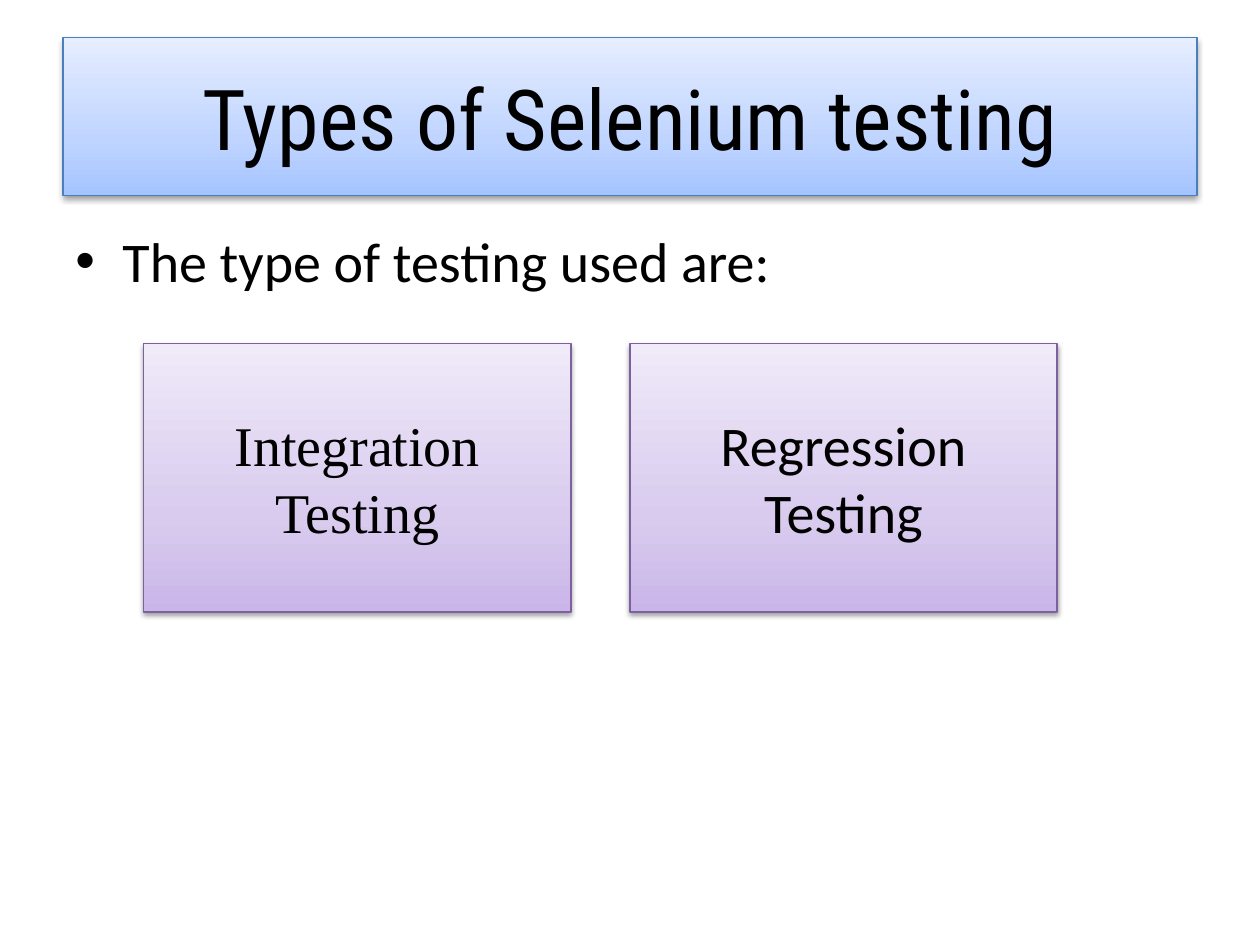
from lxml import etree
from pptx import Presentation
from pptx import util as u
from pptx.dml.color import RGBColor
from pptx.enum import shapes, text
from pptx.oxml import ns

BLACK = RGBColor(0x00, 0x00, 0x00)
BLUE_LINE = RGBColor(0x4B, 0x7E, 0xBC)
BLUE_STOPS = (
    (0, RGBColor(0xA4, 0xC4, 0xFF)),
    (35, RGBColor(0xBF, 0xD4, 0xFF)),
    (100, RGBColor(0xE6, 0xEE, 0xFF)),
)
PURPLE_LINE = RGBColor(0x7D, 0x60, 0xA0)
PURPLE_STOPS = (
    (0, RGBColor(0xC9, 0xB5, 0xE8)),
    (35, RGBColor(0xD8, 0xCB, 0xEE)),
    (100, RGBColor(0xF0, 0xEA, 0xF9)),
)


def add_node(parent, tag, **attributes):
    node = etree.SubElement(parent, ns.qn(tag))
    for name, value in attributes.items():
        node.set(name, str(value))
    return node


def set_gradient(box, stops):
    box.fill.gradient()
    gradient = box.element.spPr.find(ns.qn("a:gradFill"))
    stop_list = gradient.find(ns.qn("a:gsLst"))
    for stop in list(stop_list):
        stop_list.remove(stop)
    for position, color in stops:
        stop = add_node(stop_list, "a:gs", pos=position * 1000)
        add_node(stop, "a:srgbClr", val=color)
    gradient.find(ns.qn("a:lin")).set("ang", str(270 * 60000))


def set_shadow(box):
    box.shadow.inherit = False
    effects = box.element.spPr.find(ns.qn("a:effectLst"))
    shadow = add_node(effects, "a:outerShdw", blurRad=u.Pt(3.1), dist=u.Pt(1.6),
                      dir=90 * 60000, rotWithShape=0)
    color = add_node(shadow, "a:srgbClr", val=BLACK)
    add_node(color, "a:alpha", val=38000)


def write_text(box, words, font="Calibri", size=32, color=BLACK,
               align=text.PP_ALIGN.CENTER, anchor=text.MSO_ANCHOR.MIDDLE):
    frame = box.text_frame
    frame.word_wrap = True
    frame.vertical_anchor = anchor
    para = frame.paragraphs[0]
    para.alignment = align
    span = para.add_run()
    span.text = words
    span.font.name = font
    span.font.size = u.Pt(size)
    span.font.color.rgb = color
    return para


def add_panel(page, left, top, width, height, stops, line):
    box = page.shapes.add_shape(shapes.MSO_SHAPE.RECTANGLE, u.Cm(left), u.Cm(top),
                                u.Cm(width), u.Cm(height))
    set_gradient(box, stops)
    box.line.color.rgb = line
    box.line.width = u.Pt(0.75)
    set_shadow(box)
    return box


def add_bullet_text(page, left, top, width, height, words):
    box = page.shapes.add_textbox(u.Cm(left), u.Cm(top), u.Cm(width), u.Cm(height))
    para = write_text(box, words, align=text.PP_ALIGN.LEFT, anchor=text.MSO_ANCHOR.TOP)
    para.space_before = u.Pt(6.4)
    indent = u.Cm(0.95)
    properties = para._p.get_or_add_pPr()
    properties.set("marL", str(indent))
    properties.set("indent", str(-indent))
    add_node(properties, "a:buFont", typeface="Arial")
    add_node(properties, "a:buChar", char="•")


def main():
    deck = Presentation()
    deck.slide_width = u.Cm(25.4)
    deck.slide_height = u.Cm(19.05)
    page = deck.slides.add_slide(deck.slide_layouts[6])

    add_bullet_text(page, 1.27, 4.45, 22.86, 12.57, "The type of testing used are:")
    title = add_panel(page, 1.27, 0.76, 22.86, 3.18, BLUE_STOPS, BLUE_LINE)
    write_text(title, "Types of Selenium testing", font="Roboto Condensed", size=48)

    testing_types = (
        ("Integration Testing", "Times New Roman"),
        ("Regression Testing", "Calibri"),
    )
    for index, (words, font) in enumerate(testing_types):
        card = add_panel(page, 2.9 + index * 9.8, 6.93, 8.61, 5.41,
                         PURPLE_STOPS, PURPLE_LINE)
        write_text(card, words, font=font)

    deck.save("out.pptx")


if __name__ == "__main__":
    main()
